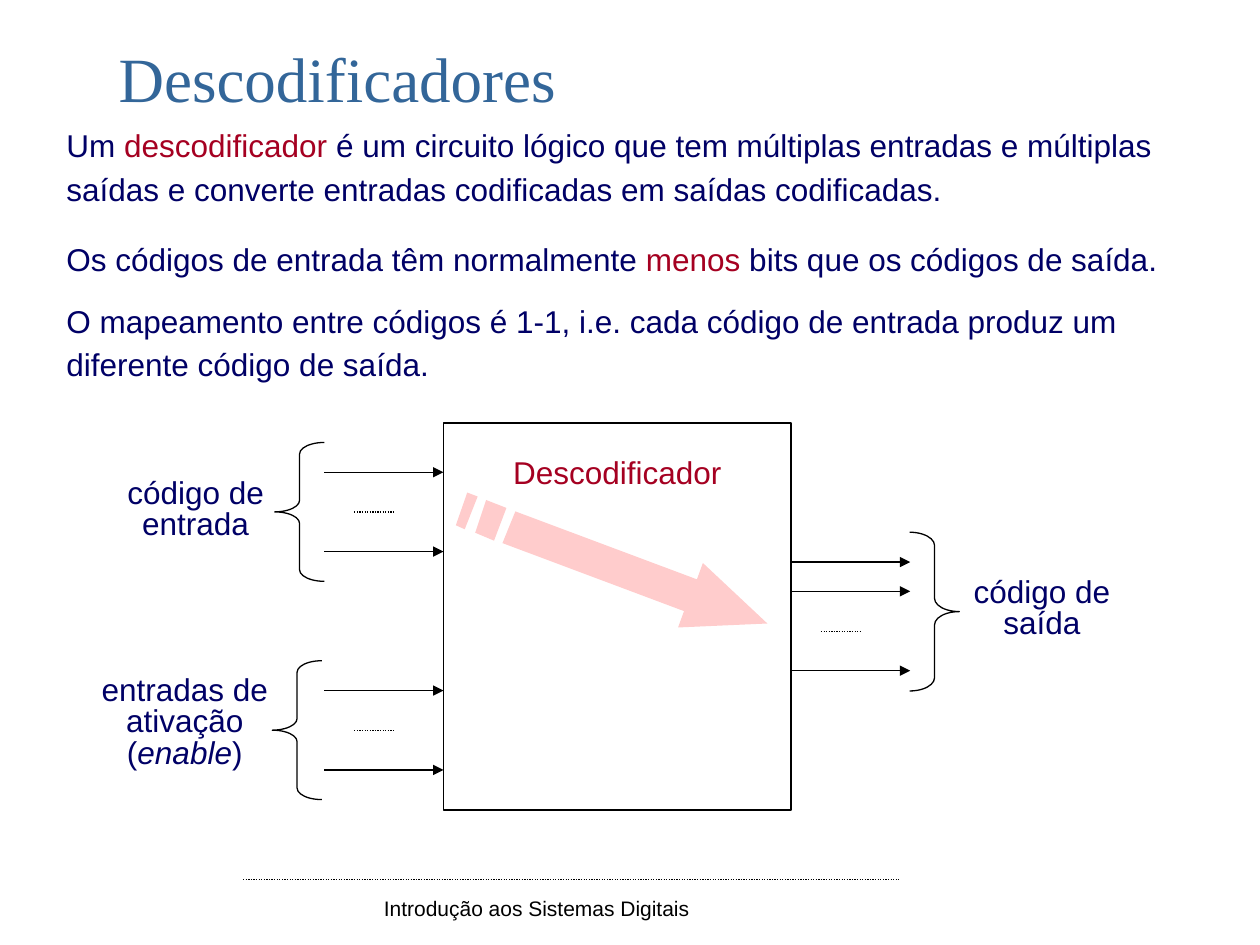
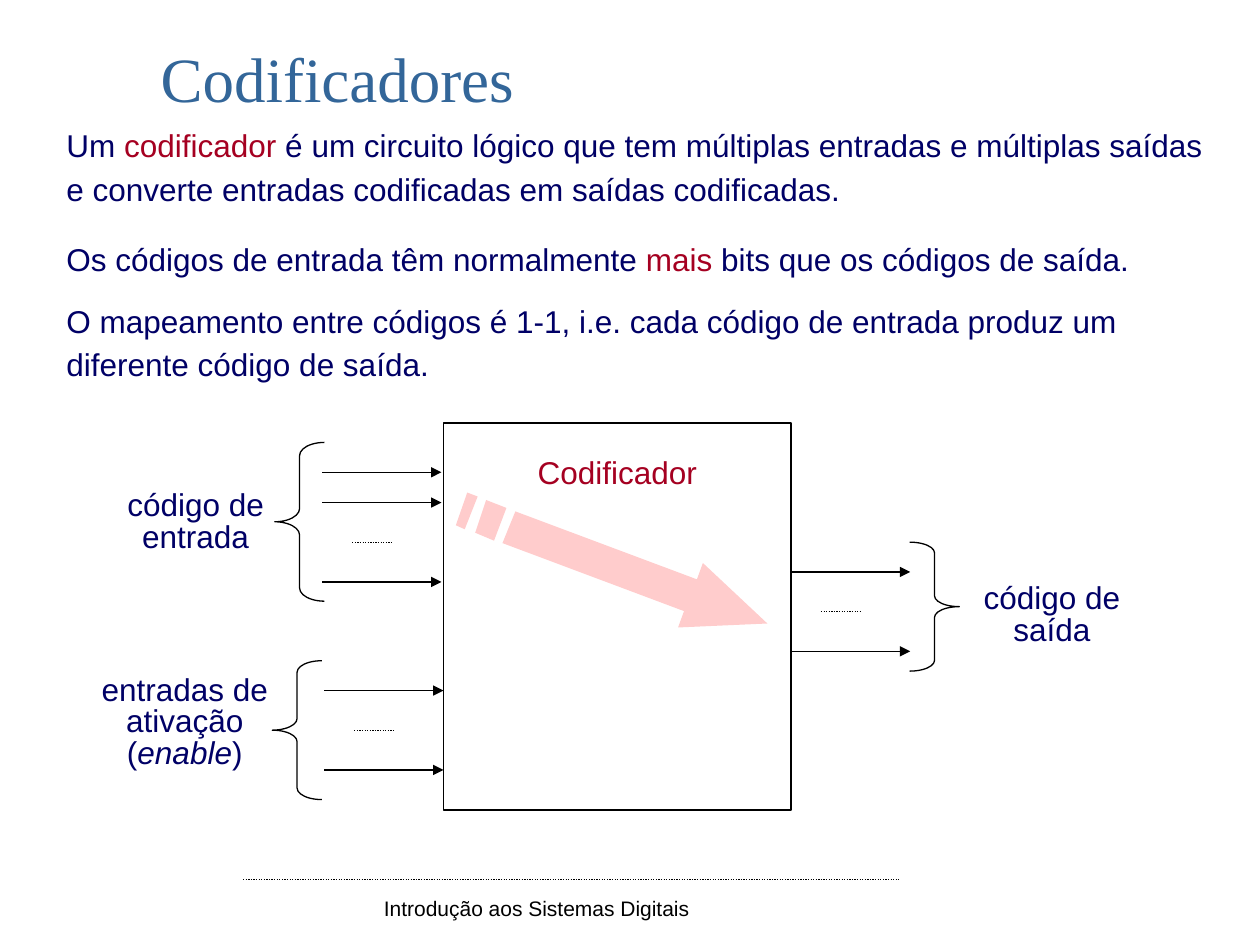
import pptx
import pptx.util
import pptx.dml.color
import pptx.enum.dml
import pptx.enum.shapes
import pptx.enum.text
import pptx.oxml
import pptx.oxml.ns
import lxml.etree

Cm = pptx.util.Cm
Pt = pptx.util.Pt
color = pptx.dml.color.RGBColor.from_string
Align = pptx.enum.text.PP_ALIGN
Preset = pptx.enum.shapes.MSO_SHAPE

NAVY = "000066"
RED = "A50021"
BLUE = "336699"
BLACK = "000000"
PINK = "FFCCCC"
WHITE = "FFFFFF"

BLOCK_LEFT, BLOCK_TOP, BLOCK_WIDTH, BLOCK_HEIGHT = 8.94, 8.53, 7.01, 7.8
BLOCK_RIGHT = BLOCK_LEFT + BLOCK_WIDTH
ARROW_LENGTH = 2.4
BRACE_WIDTH = 1

BIG_ARROW = [
    [(14.17, 11.35), (14.05, 11.68), (10.39, 10.31), (10.13, 10.95),
     (13.79, 12.32), (13.67, 12.65), (15.47, 12.57)],
    [(9.8, 10.08), (9.58, 10.74), (9.96, 10.9), (10.21, 10.24)],
    [(9.42, 9.93), (9.19, 10.59), (9.37, 10.67), (9.63, 10.01)],
]

enable_group = dict(left=6.54, arrows=[13.92, 15.52], dots=14.72, brace_left=5.49, brace_height=2.8,
                    brace=Preset.LEFT_BRACE, label=(1.63, 13.51, 4.19, 2.11),
                    text=[("entradas de ativação (", NAVY), ("enable", NAVY), (")", NAVY)])

slides = [
    dict(title="Descodificadores", device="Descodificador", amount="menos", groups=[
        dict(left=BLOCK_RIGHT, arrows=[11.33, 11.92, 13.52], dots=12.73, brace_left=18.34,
             brace_height=3.2, brace=Preset.RIGHT_BRACE, label=(19.1, 11.53, 3.81, 1.47),
             text=[("código de saída", NAVY)]),
        dict(left=6.54, arrows=[9.52, 11.12], dots=10.32, brace_left=5.54,
             brace_height=2.8, brace=Preset.LEFT_BRACE, label=(1.85, 9.53, 4.19, 1.47),
             text=[("código de entrada", NAVY)]),
        enable_group]),
    dict(title="Codificadores", device="Codificador", amount="mais", groups=[
        dict(left=BLOCK_RIGHT, arrows=[11.53, 13.13], dots=12.33, brace_left=18.34,
             brace_height=2.6, brace=Preset.RIGHT_BRACE, label=(19.3, 11.66, 3.81, 1.47),
             text=[("código de saída", NAVY)]),
        dict(left=6.5, arrows=[9.52, 10.13, 11.73], dots=10.93, brace_left=5.54,
             brace_height=3.2, brace=Preset.LEFT_BRACE, label=(1.85, 9.79, 4.19, 1.47),
             text=[("código de entrada", NAVY)]),
        enable_group]),
]


def write_text(box, spans, size=18, font="Arial", align=Align.LEFT, spacing=1.0, wrap=True):
    frame = box.text_frame
    frame.word_wrap = wrap
    frame.auto_size = pptx.enum.text.MSO_AUTO_SIZE.NONE
    frame.vertical_anchor = pptx.enum.text.MSO_ANCHOR.TOP
    para = frame.paragraphs[0]
    para.alignment = align
    para.line_spacing = spacing
    for text, tint in spans:
        span = para.add_run()
        span.text = text
        span.font.size = Pt(size)
        span.font.name = font
        span.font.color.rgb = color(tint)
        span.font.italic = text == "enable"


def add_line(page, left, top, length, arrow=False):
    line = page.shapes.add_connector(pptx.enum.shapes.MSO_CONNECTOR.STRAIGHT,
                                     Cm(left), Cm(top), Cm(left + length), Cm(top))
    line.line.color.rgb = color(BLACK)
    line.line.width = Pt(0.75)
    if arrow:
        tail = lxml.etree.SubElement(line.line._get_or_add_ln(), pptx.oxml.ns.qn("a:tailEnd"))
        tail.set("type", "triangle")
    else:
        line.line.dash_style = pptx.enum.dml.MSO_LINE.ROUND_DOT
    lxml.etree.SubElement(line._element.spPr, pptx.oxml.ns.qn("a:effectLst"))


deck = pptx.Presentation()
deck.slide_width = Cm(25.4)
deck.slide_height = Cm(19.05)

for content in slides:
    page = deck.slides.add_slide(deck.slide_layouts[5])

    add_line(page, 4.9, 17.73, 13.21)
    footer = page.shapes.add_textbox(Cm(7.49), Cm(17.93), Cm(7.01), Cm(0.76))
    write_text(footer, [("Introdução aos Sistemas Digitais", BLACK)], size=12)

    title = page.shapes.title
    title.left, title.top, title.width, title.height = Cm(1.3), Cm(0.53), Cm(11), Cm(1.19)
    title.text_frame.margin_top = Cm(0.27)
    write_text(title, [(content["title"], BLUE)], size=36, font="Times New Roman",
               align=Align.CENTER, wrap=False)

    statements = [
        (2.31, 1.93, [("Um ", NAVY), (content["device"].lower(), RED),
                      (" é um circuito lógico que tem múltiplas entradas e múltiplas saídas "
                       "e converte entradas codificadas em saídas codificadas.", NAVY)]),
        (4.6, 1.09, [("Os códigos de entrada têm normalmente ", NAVY), (content["amount"], RED),
                     (" bits que os códigos de saída.", NAVY)]),
        (5.84, 1.93, [("O mapeamento entre códigos é 1-1, i.e. cada código de entrada "
                       "produz um diferente código de saída.", NAVY)]),
    ]
    for top, height, spans in statements:
        statement = page.shapes.add_textbox(Cm(1.09), Cm(top), Cm(23.47), Cm(height))
        write_text(statement, spans, spacing=1.15)

    block = page.shapes.add_shape(Preset.RECTANGLE, Cm(BLOCK_LEFT), Cm(BLOCK_TOP),
                                  Cm(BLOCK_WIDTH), Cm(BLOCK_HEIGHT))
    block.shadow.inherit = False
    block.fill.solid()
    block.fill.fore_color.rgb = color(WHITE)
    block.line.color.rgb = color(BLACK)
    block.line.width = Pt(0.75)
    block.text_frame.margin_top = Cm(0.61)
    write_text(block, [(content["device"], RED)], align=Align.CENTER, wrap=False)

    for group in content["groups"]:
        for top in group["arrows"]:
            add_line(page, group["left"], top, ARROW_LENGTH, arrow=True)
        add_line(page, group["left"] + 0.6, group["dots"], 0.8)

        brace = page.shapes.add_shape(group["brace"], Cm(group["brace_left"]),
                                      Cm(group["arrows"][0] - 0.6),
                                      Cm(BRACE_WIDTH), Cm(group["brace_height"]))
        brace.adjustments[0] = group["brace_height"] / BRACE_WIDTH / 12
        brace.shadow.inherit = False
        brace.fill.background()
        brace.line.color.rgb = color(BLACK)
        brace.line.width = Pt(0.75)

        label = page.shapes.add_textbox(*[Cm(length) for length in group["label"]])
        write_text(label, group["text"], align=Align.CENTER, spacing=0.83)

    outlines = [[(Cm(x), Cm(y)) for x, y in outline] for outline in BIG_ARROW]
    builder = page.shapes.build_freeform(*outlines[0][0])
    builder.add_line_segments(outlines[0][1:])
    for stripe in outlines[1:]:
        builder.move_to(*stripe[0])
        builder.add_line_segments(stripe[1:])
    big_arrow = builder.convert_to_shape()
    big_arrow.shadow.inherit = False
    big_arrow.fill.solid()
    big_arrow.fill.fore_color.rgb = color(PINK)
    big_arrow.line.fill.background()

deck.save("out.pptx")
